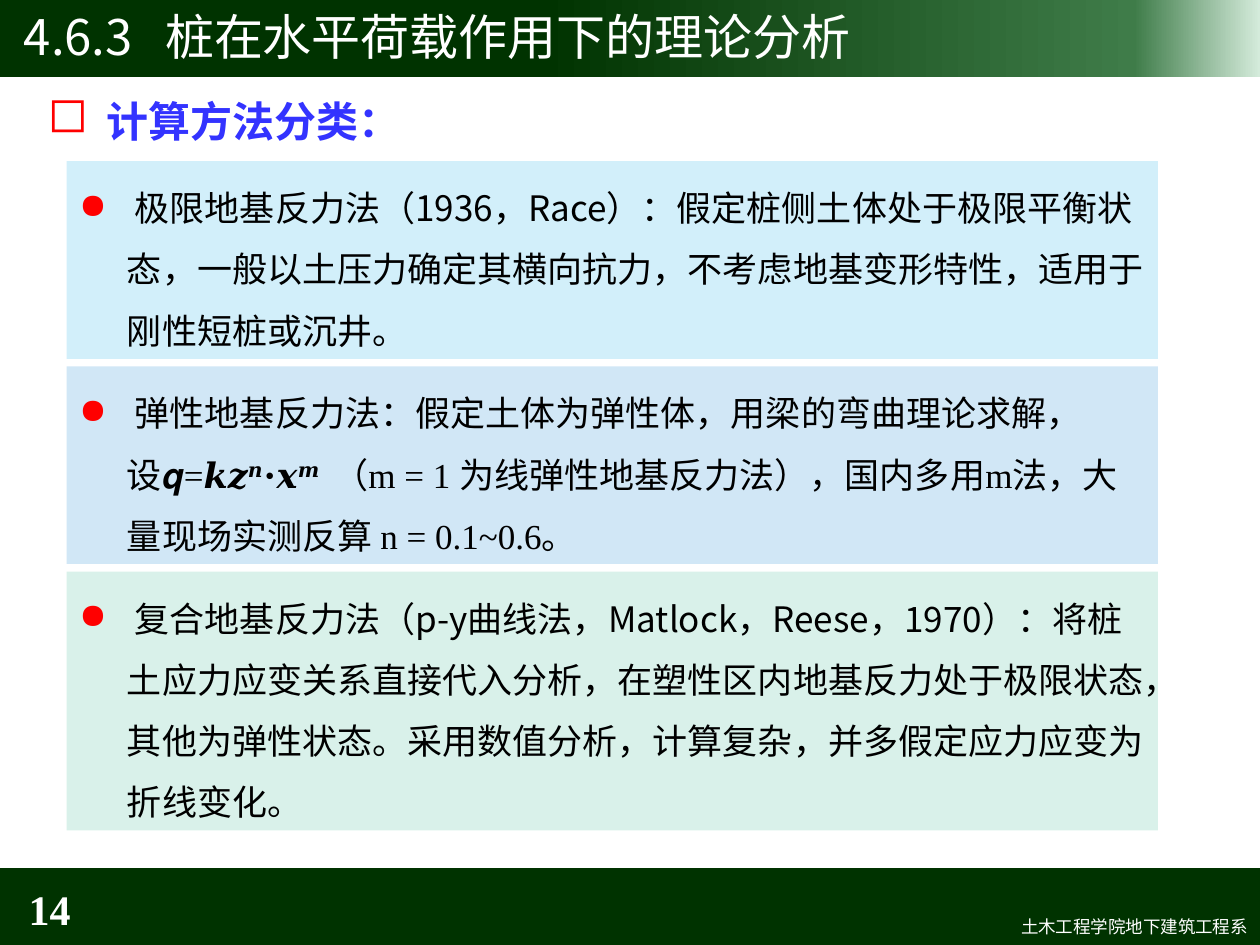
"""Build the slide that classifies the calculation methods for laterally loaded piles."""
from copy import deepcopy
from dataclasses import dataclass
from typing import NamedTuple

from pptx import Presentation
from pptx.dml.color import RGBColor as Rgb
from pptx.enum.shapes import MSO_SHAPE as Shape
from pptx.enum.text import MSO_ANCHOR as Anchor, MSO_AUTO_SIZE as Fit, PP_ALIGN as Align
from pptx.oxml.xmlchemy import OxmlElement as Element
from pptx.util import Inches, Pt


@dataclass(frozen=True)
class Theme:
    sans: str = "Noto Sans CJK SC"
    serif: str = "Times New Roman"
    dark: str = "003300"
    white: str = "FFFFFF"
    black: str = "000000"
    red: str = "FF0000"
    blue: str = "3333FF"
    banner: tuple = ((0.43, "003300"), (0.9, "3F7C49"), (1, "D4EBDB"))
    title: int = 28
    heading: int = 24
    body: int = 20
    footer: int = 10
    leading: int = 35


class Area(NamedTuple):
    """A place on a grid of 100 columns by 75 rows."""
    col: float
    row: float
    cols: float
    rows: float


class Span(NamedTuple):
    text: str
    font: str
    color: str = "000000"
    size: int | None = None
    raised: bool = False


class Method(NamedTuple):
    fill: str
    lines: int
    spans: tuple


THEME = Theme()
COLUMNS, ROWS = 100, 75
WIDTH, HEIGHT = Inches(10), Inches(7.5)
SANS, SERIF = THEME.sans, THEME.serif

METHODS = (
    Method("D2EFFA", 3, (
        Span("极限地基反力法（1936，Race）：", SANS),
        Span("假定桩侧土体处于极限平衡状态，一般以土压力确定其横向抗力，不考虑地基变形特性，"
             "适用于刚性短桩或沉井。", SERIF))),
    Method("D1E7F6", 3, (
        Span("弹性地基反力法：", SANS),
        Span("假定土体为弹性体，用梁的弯曲理论求解，设𝒒=𝒌𝒛", SERIF),
        Span("𝒏", SERIF, raised=True),
        Span("⋅𝒙", SERIF),
        Span("𝒎 ", SERIF, raised=True),
        Span(" （m = 1 为线弹性地基反力法），国内多用m法，大量现场实测反算 n = 0.1~0.6。", SERIF))),
    Method("D9F1EA", 4, (
        Span("复合地基反力法（p-y曲线法，Matlock，Reese，1970）：", SANS),
        Span("将桩土应力应变关系直接代入分析，在塑性区内地基反力处于极限状态，其他为弹性状态。"
             "采用数值分析，计算复杂，并多假定应力应变为折线变化。", SERIF))),
)


def place(area: Area) -> tuple[int, int, int, int]:
    return (int(WIDTH * area.col / COLUMNS), int(HEIGHT * area.row / ROWS),
            int(WIDTH * area.cols / COLUMNS), int(HEIGHT * area.rows / ROWS))


def add_panel(page, area: Area, color: str):
    panel = page.shapes.add_shape(Shape.RECTANGLE, *place(area))
    panel.shadow.inherit = False
    panel.line.fill.background()
    panel.fill.solid()
    panel.fill.fore_color.rgb = Rgb.from_string(color)
    return panel


def add_banner(page, area: Area) -> None:
    fill = add_panel(page, area, THEME.dark).fill
    fill.gradient()
    fill.gradient_angle = 0
    last = fill.gradient_stops[-1]._gs
    last.addnext(deepcopy(last))
    for stop, (position, color) in zip(fill.gradient_stops, THEME.banner):
        stop.position = position
        stop.color.rgb = Rgb.from_string(color)


def add_box(page, area: Area):
    box = page.shapes.add_textbox(*place(area))
    box.text_frame.word_wrap = True
    return box


def add_bullet(para, char: str) -> None:
    properties = para._p.get_or_add_pPr()
    properties.set("marL", str(Inches(0.38)))
    properties.set("indent", str(-Inches(0.38)))
    color = Element("a:buClr")
    tint = Element("a:srgbClr")
    tint.set("val", THEME.red)
    color.append(tint)
    mark = Element("a:buChar")
    mark.set("char", char)
    properties.extend((color, mark))


def add_tab(para, inches: float) -> None:
    tabs = Element("a:tabLst")
    tab = Element("a:tab")
    tab.set("pos", str(Inches(inches)))
    tab.set("algn", "l")
    tabs.append(tab)
    para._p.get_or_add_pPr().append(tabs)


def write(para, spans: tuple, size: int, bold: bool = False) -> None:
    para.font.size = Pt(size)
    para.font.bold = bold
    for span in spans:
        run = para.add_run()
        run.text = span.text
        run.font.name = span.font
        run.font.size = Pt(span.size or size)
        run.font.bold = bold
        run.font.color.rgb = Rgb.from_string(span.color)
        properties = run._r.get_or_add_rPr()
        if span.raised:
            properties.set("baseline", "30000")
        asian = Element("a:ea")
        asian.set("typeface", SANS)
        properties.append(asian)


def add_title(page, area: Area) -> None:
    title = page.shapes.title
    title.left, title.top, title.width, title.height = place(area)
    frame = title.text_frame
    frame.auto_size = Fit.NONE
    frame.vertical_anchor = Anchor.MIDDLE
    frame.margin_left = Inches(0.19)
    para = frame.paragraphs[0]
    para.alignment = Align.LEFT
    add_tab(para, 1.12)
    write(para, (Span("4.6.3\t桩在水平荷载作用下的理论分析", SANS, THEME.white),), THEME.title)
    page.shapes.element.append(title.element)


def add_heading(page, area: Area) -> None:
    para = add_box(page, area).text_frame.paragraphs[0]
    add_bullet(para, "◻")
    write(para, (Span(" ", SERIF, THEME.red, THEME.title),
                 Span("计算方法分类：", SANS, THEME.blue)), THEME.heading, True)


def add_methods(page, top: float, gap: float) -> None:
    for method in METHODS:
        rows = method.lines * THEME.leading / 7.2 + 1.1
        frame = add_panel(page, Area(5.3, top, 86.6, rows), method.fill).text_frame
        frame.word_wrap = True
        frame.vertical_anchor = Anchor.TOP
        para = frame.paragraphs[0]
        para.alignment = Align.LEFT
        para.line_spacing = Pt(THEME.leading)
        add_bullet(para, "●")
        write(para, (Span(" ", SERIF, THEME.red), *method.spans), THEME.body)
        top += rows + gap


def add_footer(page) -> None:
    add_panel(page, Area(0, 68.9, 100, 6.4), THEME.dark)
    credit = add_box(page, Area(42.1, 72.2, 57.9, 2.7)).text_frame.paragraphs[0]
    credit.alignment = Align.RIGHT
    write(credit, (Span("土木工程学院地下建筑工程系", SANS, THEME.white),), THEME.footer)
    frame = add_box(page, Area(0, 70.1, 6.6, 4)).text_frame
    frame.vertical_anchor = Anchor.MIDDLE
    number = frame.paragraphs[0]
    number.alignment = Align.RIGHT
    write(number, (Span("14", SERIF, THEME.white),), THEME.heading, True)


def main() -> None:
    deck = Presentation()
    deck.slide_width, deck.slide_height = WIDTH, HEIGHT
    page = deck.slides.add_slide(deck.slide_layouts[5])
    add_banner(page, Area(0, -0.3, 100, 6.4))
    add_footer(page)
    add_heading(page, Area(2.8, 6.5, 33.1, 5.7))
    add_methods(page, 12.8, 0.6)
    add_title(page, Area(0, -0.3, 100, 6.3))
    deck.save("out.pptx")


if __name__ == "__main__":
    main()
